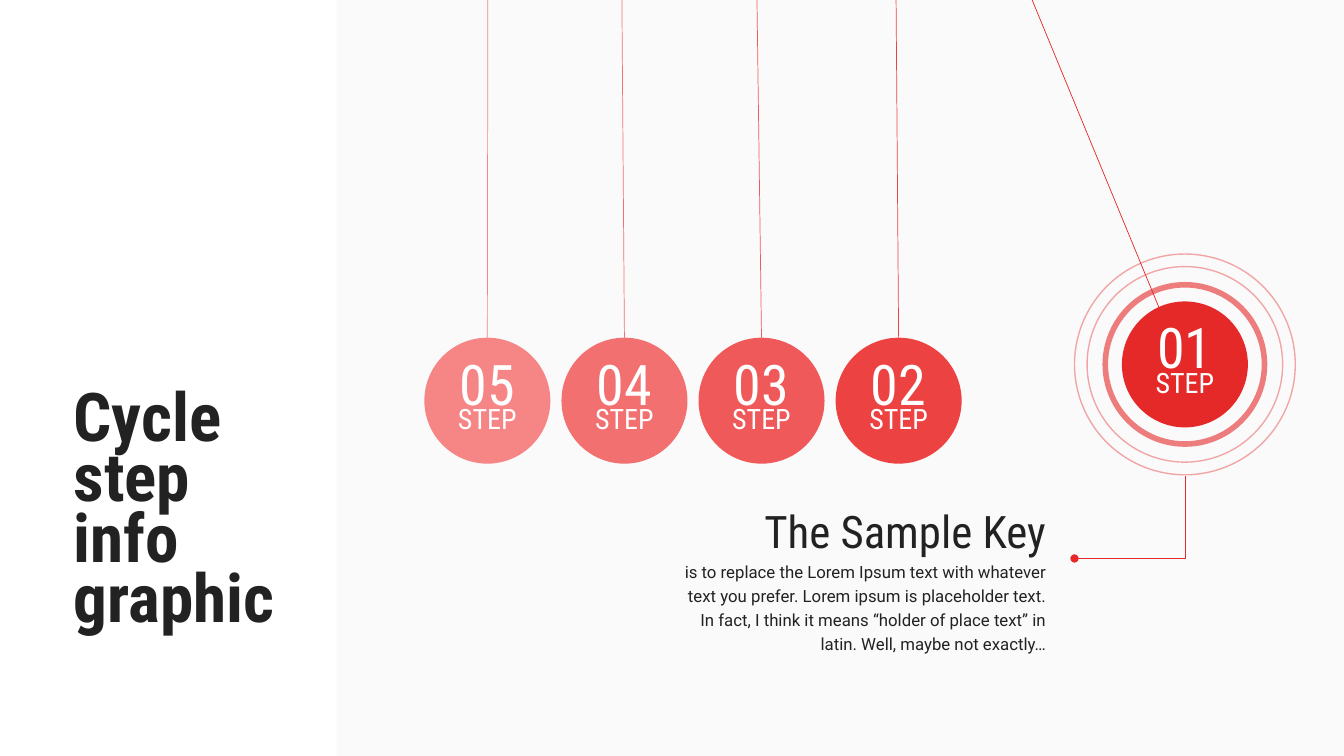
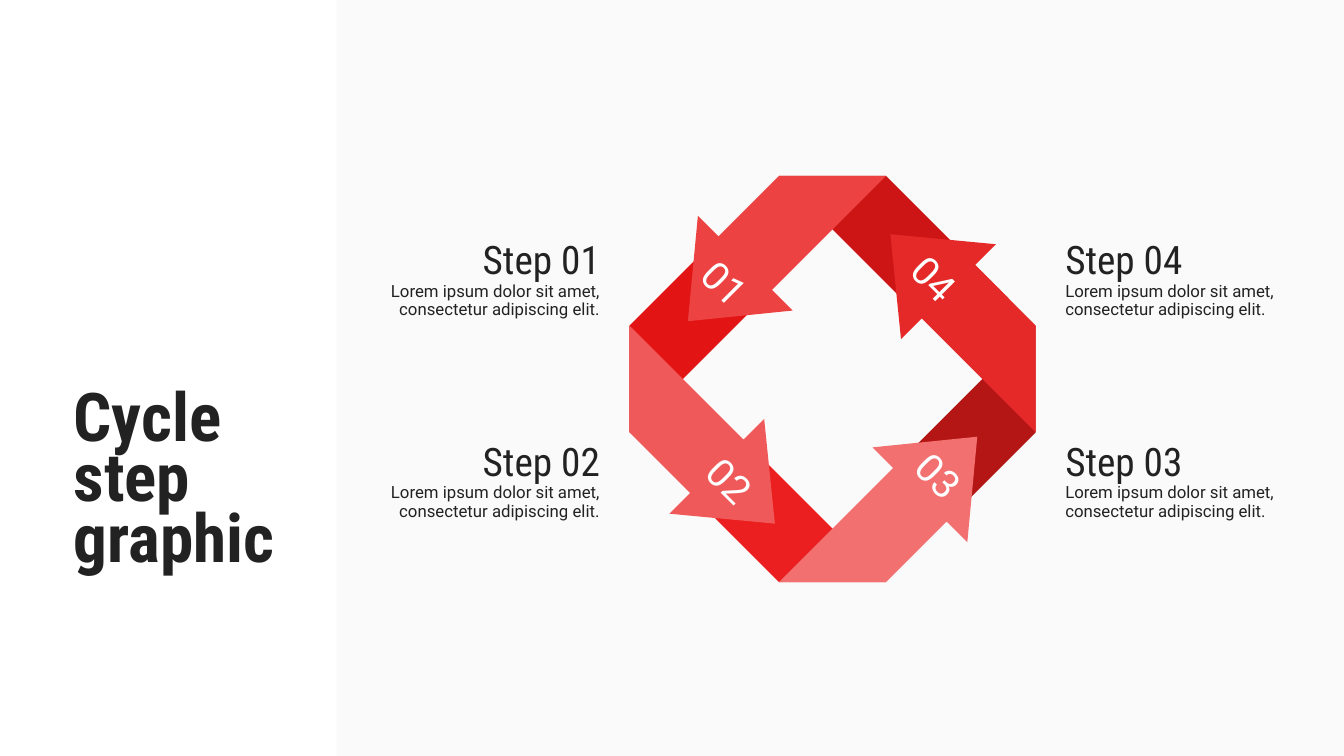
"""Build two cycle step slides: a row of swinging balls and a ring of arrows."""
from dataclasses import dataclass
from math import cos, radians, sin

from lxml import etree
from pptx import Presentation
from pptx.dml.color import RGBColor
from pptx.enum.shapes import MSO_CONNECTOR, MSO_SHAPE
from pptx.enum.text import MSO_ANCHOR, MSO_AUTO_SIZE, PP_ALIGN
from pptx.oxml.ns import qn
from pptx.util import Emu, Pt

PX = 9144
TOP, MID, LOW = MSO_ANCHOR.TOP, MSO_ANCHOR.MIDDLE, MSO_ANCHOR.BOTTOM
LEFT, CENTER, RIGHT = PP_ALIGN.LEFT, PP_ALIGN.CENTER, PP_ALIGN.RIGHT
NO_FIT = MSO_AUTO_SIZE.NONE
OVAL, RECT = MSO_SHAPE.OVAL, MSO_SHAPE.RECTANGLE
STRAIGHT = MSO_CONNECTOR.STRAIGHT
BODY, HEAD = "Roboto", "Roboto Condensed"
HUES = {
    "white": "FFFFFF", "panel": "FAFAFA", "ink": "222222",
    "red1": "E52828", "red2": "EC4242", "red3": "F05959",
    "red4": "F27070", "red5": "F68585",
    "fold1": "E21414", "fold2": "EB1F1F", "fold3": "B41616", "fold4": "CE1515",
}
PADS = (10, 5, 10, 5)
BALL = 125
HUB = (826, 376)
TILT = 45
ARROW = [(-105, -180), (-180, -105), (-180, -20), (-209, -20),
         (-142, 61), (-76, -20), (-105, -20)]
FOLD = [(-105, 180), (-105, -20), (-180, -20), (-180, 105)]
LOREM = "Lorem ipsum dolor sit amet, consectetur adipiscing elit."


@dataclass(frozen=True)
class Line:
    """One paragraph of text and its style."""
    text: str
    size: int
    face: str = BODY
    hue: str = "ink"
    space: float = 1.0
    bold: bool = False


@dataclass(frozen=True)
class Ball:
    """A numbered ball hung on a string."""
    num: str
    left: int
    top: int
    hook: int
    hue: str


@dataclass(frozen=True)
class Ring:
    """A see-through circle around the first ball."""
    size: int
    width: int
    alpha: int


@dataclass(frozen=True)
class Turn:
    """One quarter of the arrow cycle with its label and note."""
    num: str
    hue: str
    fold: str
    align: PP_ALIGN
    anchor: MSO_ANCHOR
    pads: tuple[int, int, int, int]
    note: tuple[int, int]
    side: PP_ALIGN


BALLS = [
    Ball("05", 421, 335, 484, "red5"),
    Ball("04", 557, 335, 617, "red4"),
    Ball("03", 693, 335, 751, "red3"),
    Ball("02", 829, 335, 889, "red2"),
]
FIRST = Ball("01", 1113, 299, 1024, "red1")
RINGS = [Ring(158, 4, 60), Ring(194, 1, 40), Ring(219, 1, 40)]
TURNS = [
    Turn("01", "red2", "fold1", CENTER, LOW, (10, 5, 10, 30), (332, 229), RIGHT),
    Turn("02", "red3", "fold2", RIGHT, MID, (10, 5, 40, 5), (332, 429), RIGHT),
    Turn("03", "red4", "fold3", CENTER, TOP, (10, 30, 10, 5), (1047, 429), LEFT),
    Turn("04", "red1", "fold4", LEFT, MID, (40, 5, 10, 5), (1047, 229), LEFT),
]


def px(*nums: float) -> list[Emu]:
    """Turn px into EMU."""
    return [Emu(round(n * PX)) for n in nums]


def tint(hue: str) -> RGBColor:
    """Look up a colour by name."""
    return RGBColor.from_string(HUES[hue])


def paint(shape, hue: str) -> None:
    """Give a shape a flat fill with no line or shadow."""
    shape.shadow.inherit = False
    shape.fill.solid()
    shape.fill.fore_color.rgb = tint(hue)
    shape.line.fill.background()


def stroke(shape, hue: str, width: float) -> None:
    """Colour a line and set its width."""
    shape.line.color.rgb = tint(hue)
    shape.line.width = Pt(width)


def write(shape, lines: list[Line], align=LEFT, anchor=TOP, pads=PADS) -> None:
    """Fill a shape with styled paragraphs."""
    frame = shape.text_frame
    frame.word_wrap = True
    frame.auto_size = NO_FIT
    frame.vertical_anchor = anchor
    (frame.margin_left, frame.margin_top,
     frame.margin_right, frame.margin_bottom) = px(*pads)
    for i, line in enumerate(lines):
        para = frame.add_paragraph() if i else frame.paragraphs[0]
        para.text = line.text
        para.alignment = align
        para.line_spacing = line.space
        font = para.font
        font.name, font.size, font.bold = line.face, Pt(line.size), line.bold
        font.color.rgb = tint(line.hue)


def start(deck, text: str):
    """Add a slide with its title."""
    slide = deck.slides.add_slide(deck.slide_layouts[5])
    title = slide.shapes.title
    title.left, title.top, title.width, title.height = px(63, 385, 310, 237)
    write(title, [Line(text, 48, HEAD, space=0.75, bold=True)])
    return slide


def panel(deck, slide) -> None:
    """Put the grey panel on the layout that all slides share."""
    shape = slide.shapes.add_shape(RECT, *px(334, 0, 1000, 750))
    paint(shape, "panel")
    slide.slide_layout.shapes.element.insert(2, shape.element)


def string(slide, x: int, y: int, hook: int, hue: str):
    """Draw the string from a ball up to the top edge."""
    link = slide.shapes.add_connector(STRAIGHT, *px(x, y, hook, 0))
    stroke(link, hue, 0.5)
    etree.SubElement(link.element.spPr, qn("a:effectLst"))
    return link


def ball(slide, item: Ball):
    """Draw a numbered ball."""
    shape = slide.shapes.add_shape(OVAL, *px(item.left, item.top, BALL, BALL))
    paint(shape, item.hue)
    lines = [Line(item.num, 40, HEAD, "white", 0.6),
             Line("STEP", 20, HEAD, "white", 0.6)]
    write(shape, lines, CENTER, MID, (10, 10, 10, 5))
    return shape


def ring(slide, item: Ring, x: float, y: float) -> None:
    """Draw a see-through circle around a point."""
    half = item.size / 2
    shape = slide.shapes.add_shape(
        OVAL, *px(x - half, y - half, item.size, item.size))
    shape.shadow.inherit = False
    shape.fill.background()
    stroke(shape, "red1", item.width)
    color = shape.element.spPr.find(".//" + qn("a:srgbClr"))
    etree.SubElement(color, qn("a:alpha"), val=str(item.alpha * 1000))


def lead(slide) -> None:
    """Draw the bent line with a dot that leads to the text."""
    pen = slide.shapes.build_freeform(1066, 554, scale=PX)
    pen.add_line_segments([(1176, 554), (1176, 472)], close=False)
    shape = pen.convert_to_shape()
    shape.shadow.inherit = False
    shape.fill.background()
    stroke(shape, "red1", 1)
    etree.SubElement(shape.element.spPr.find(qn("a:ln")),
                     qn("a:headEnd"), type="oval")


def swing(deck):
    """Build the slide of swinging balls."""
    slide = start(deck, "Cycle\vstep\vinfo\vgraphic")
    for item in BALLS:
        shape = ball(slide, item)
        link = string(slide, item.left + BALL // 2, item.top, item.hook, item.hue)
        link.begin_connect(shape, 0)
    string(slide, 1151, 308, FIRST.hook, FIRST.hue)
    ball(slide, FIRST)
    for item in RINGS:
        ring(slide, item, FIRST.left + BALL / 2, FIRST.top + BALL / 2)
    lead(slide)
    box = slide.shapes.add_textbox(*px(652, 484, 399, 173))
    text = ("is to replace the Lorem Ipsum text with whatever text you prefer. "
            "Lorem ipsum is placeholder text. In fact, I think it means "
            "“holder of place text” in latin. Well, maybe not exactly…")
    lines = [Line("The Sample Key", 32, HEAD, space=1.2),
             Line(text, 12, space=1.2)]
    write(box, lines, RIGHT, pads=(13, 5, 13, 7))
    return slide


def piece(slide, points: list[tuple[int, int]], turn: int, hue: str):
    """Draw an outline after some quarter turns, tilted about the hub."""
    for _ in range(turn):
        points = [(y, -x) for x, y in points]
    xs, ys = zip(*points)
    x, y = (min(xs) + max(xs)) / 2, (min(ys) + max(ys)) / 2
    c, s = cos(radians(TILT)), sin(radians(TILT))
    pen = slide.shapes.build_freeform(*points[0], scale=PX)
    pen.add_line_segments(points[1:])
    shape = pen.convert_to_shape(
        *px(HUB[0] + x * c - y * s - x, HUB[1] + x * s + y * c - y))
    shape.rotation = TILT
    paint(shape, hue)
    return shape


def cycle(deck) -> None:
    """Build the slide of four arrows in a ring."""
    slide = start(deck, "Cycle\vstep\vgraphic")
    for i, turn in enumerate(TURNS):
        piece(slide, FOLD, i, turn.fold)
    for i, turn in enumerate(TURNS):
        shape = piece(slide, ARROW, i, turn.hue)
        write(shape, [Line(turn.num, 28, hue="white")],
              turn.align, turn.anchor, turn.pads)
        box = slide.shapes.add_textbox(*px(*turn.note, 273, 94))
        lines = [Line(f"Step {turn.num}", 28, HEAD), Line(LOREM, 12, space=0.9)]
        write(box, lines, turn.side)


def main() -> None:
    """Build and save the deck."""
    deck = Presentation()
    deck.slide_width, deck.slide_height = px(1333.33, 750)
    panel(deck, swing(deck))
    cycle(deck)
    deck.save("out.pptx")


if __name__ == "__main__":
    main()
